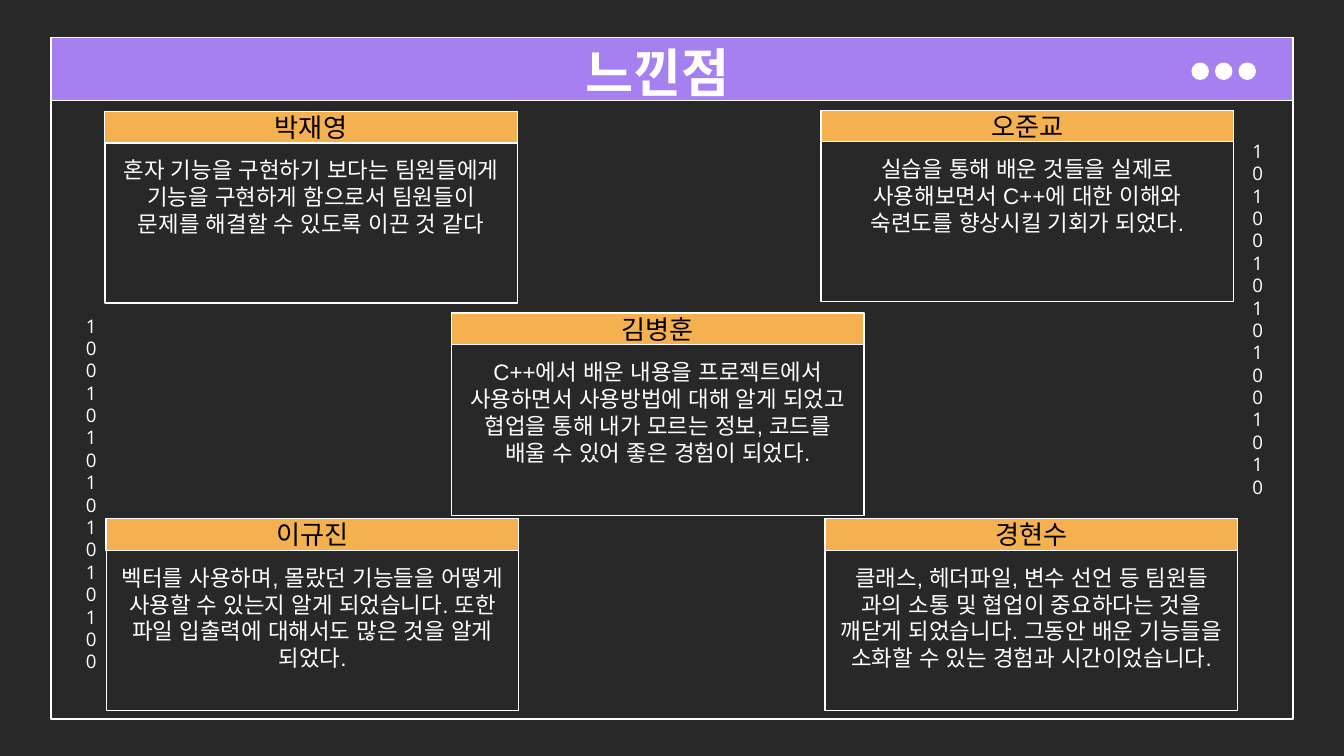
from dataclasses import dataclass
from lxml import etree
from pptx import Presentation
from pptx.dml.color import RGBColor
from pptx.enum.shapes import MSO_SHAPE
from pptx.enum.text import MSO_ANCHOR, MSO_AUTO_SIZE, PP_ALIGN
from pptx.oxml.ns import qn
from pptx.util import Inches, Pt

RECT, OVAL = MSO_SHAPE.RECTANGLE, MSO_SHAPE.OVAL
TOP, MID = MSO_ANCHOR.TOP, MSO_ANCHOR.MIDDLE
CENTER = PP_ALIGN.CENTER
FIXED = MSO_AUTO_SIZE.NONE


@dataclass(frozen=True)
class Theme:
    back: str = "292828"
    bar: str = "A67FF1"
    head: str = "F5B150"
    white: str = "FFFFFF"
    black: str = "000000"
    font: str = "Arial"
    bold: str = "Lato"
    code: str = "Open Sans"
    title: int = 28
    name: int = 14
    body: int = 12
    bits: int = 10
    line: float = 0.75


THEME = Theme()

TITLE = "느낀점"
CARDS = [
    ("박재영", 0.78, 0.83, 1.19,
     "혼자 기능을 구현하기 보다는 팀원들에게 기능을 구현하게 함으로서 팀원들이 "
     "문제를 해결할 수 있도록 이끈 것 같다"),
    ("이규진", 0.79, 3.86, 1.19,
     "벡터를 사용하며, 몰랐던 기능들을 어떻게 사용할 수 있는지 알게 되었습니다. "
     "또한 파일 입출력에 대해서도 많은 것을 알게 되었다."),
    ("오준교", 6.11, 0.82, 1.19,
     "실습을 통해 배운 것들을 실제로 사용해보면서 C++에 대한 이해와 "
     "숙련도를 향상시킬 기회가 되었다."),
    ("경현수", 6.14, 3.86, 1.19,
     "클래스, 헤더파일, 변수 선언 등 팀원들 과의 소통 및 협업이 중요하다는 것을 "
     "깨닫게 되었습니다. 그동안 배운 기능들을 소화할 수 있는 경험과 시간이었습니다."),
    ("김병훈", 3.36, 2.33, 1.27,
     "C++에서 배운 내용을 프로젝트에서 사용하면서 사용방법에 대해 알게 되었고 "
     "협업을 통해 내가 모르는 정보, 코드를 배울 수 있어 좋은 경험이 되었다."),
]
BITS = [("1010010101001010", 9.22, 0.94), ("1001010101010100", 0.54, 2.24)]
WIDE, HEAD = 3.07, 0.235
DOTS, DOT, STEP = 3, 0.12, 0.175


def color(code):
    return RGBColor.from_string(code)


def place(shape, x, y, w, h):
    shape.left, shape.top = Inches(x), Inches(y)
    shape.width, shape.height = Inches(w), Inches(h)
    shape.element.getparent().append(shape.element)
    return shape


def paint(shape, fill=None):
    if fill:
        shape.fill.solid()
        shape.fill.fore_color.rgb = color(fill)
    else:
        shape.fill.background()
    shape.line.color.rgb = color(THEME.white)
    shape.line.width = Pt(THEME.line)
    return shape


def draw(slide, kind, x, y, w, h, fill=None):
    shape = slide.shapes.add_shape(
        kind, Inches(x), Inches(y), Inches(w), Inches(h))
    shape.shadow.inherit = False
    return paint(shape, fill)


def write(shape, text, size=THEME.body, font=THEME.font, ink=THEME.white,
          bold=False, anchor=TOP, lead=None):
    frame = shape.text_frame
    frame.word_wrap = True
    frame.auto_size = FIXED
    frame.vertical_anchor = anchor
    frame.margin_left = frame.margin_right = Inches(0.1)
    frame.margin_top = frame.margin_bottom = Inches(0.1)
    para = frame.paragraphs[0]
    para.alignment = CENTER
    para.space_before = Pt(0)
    if lead:
        para.line_spacing = Pt(lead)
    run = para.add_run()
    run.text = text
    run.font.size = Pt(size)
    run.font.bold = bold
    run.font.color.rgb = color(ink)
    run.font.name = font
    for tag in ("a:ea", "a:cs"):
        etree.SubElement(run._r.get_or_add_rPr(), qn(tag), typeface=font)


def plain(shape):
    props = shape.text_frame.paragraphs[0]._p.get_or_add_pPr()
    props.set("marL", "0")
    props.set("indent", "0")
    etree.SubElement(props, qn("a:buNone"))


def main():
    deck = Presentation()
    deck.slide_width = Inches(10)
    deck.slide_height = deck.slide_width * 9 // 16
    slide = deck.slides.add_slide(deck.slide_layouts[3])
    slide.background.fill.solid()
    slide.background.fill.fore_color.rgb = color(THEME.back)

    draw(slide, RECT, 0.38, 0.28, 9.24, 5.07)
    draw(slide, RECT, 0.38, 0.28, 9.24, 0.47, THEME.bar)
    for i in range(DOTS):
        draw(slide, OVAL, 8.87 + i * STEP, 0.47, DOT, DOT, THEME.white)
    for text, x, y in BITS:
        box = slide.shapes.add_textbox(
            Inches(x), Inches(y), Inches(0.24), Inches(2.8))
        write(box, text, size=THEME.bits, font=THEME.code, lead=12)

    title = place(slide.shapes.title, 4.05, 0.2, 1.69, 0.63)
    write(title, TITLE, size=THEME.title, font=THEME.bold, bold=True)

    holders = [h for h in slide.placeholders if h.placeholder_format.idx > 0]
    for i, (name, x, y, high, text) in enumerate(CARDS):
        area = (x, y + HEAD, WIDE, high)
        if i < len(holders):
            body = paint(place(holders[i], *area))
        else:
            body = draw(slide, RECT, *area)
        write(body, text)
        if i < len(holders):
            plain(body)
        head = draw(slide, RECT, x, y, WIDE, HEAD, THEME.head)
        write(head, name, size=THEME.name, ink=THEME.black, anchor=MID)

    deck.save("out.pptx")


if __name__ == "__main__":
    main()
